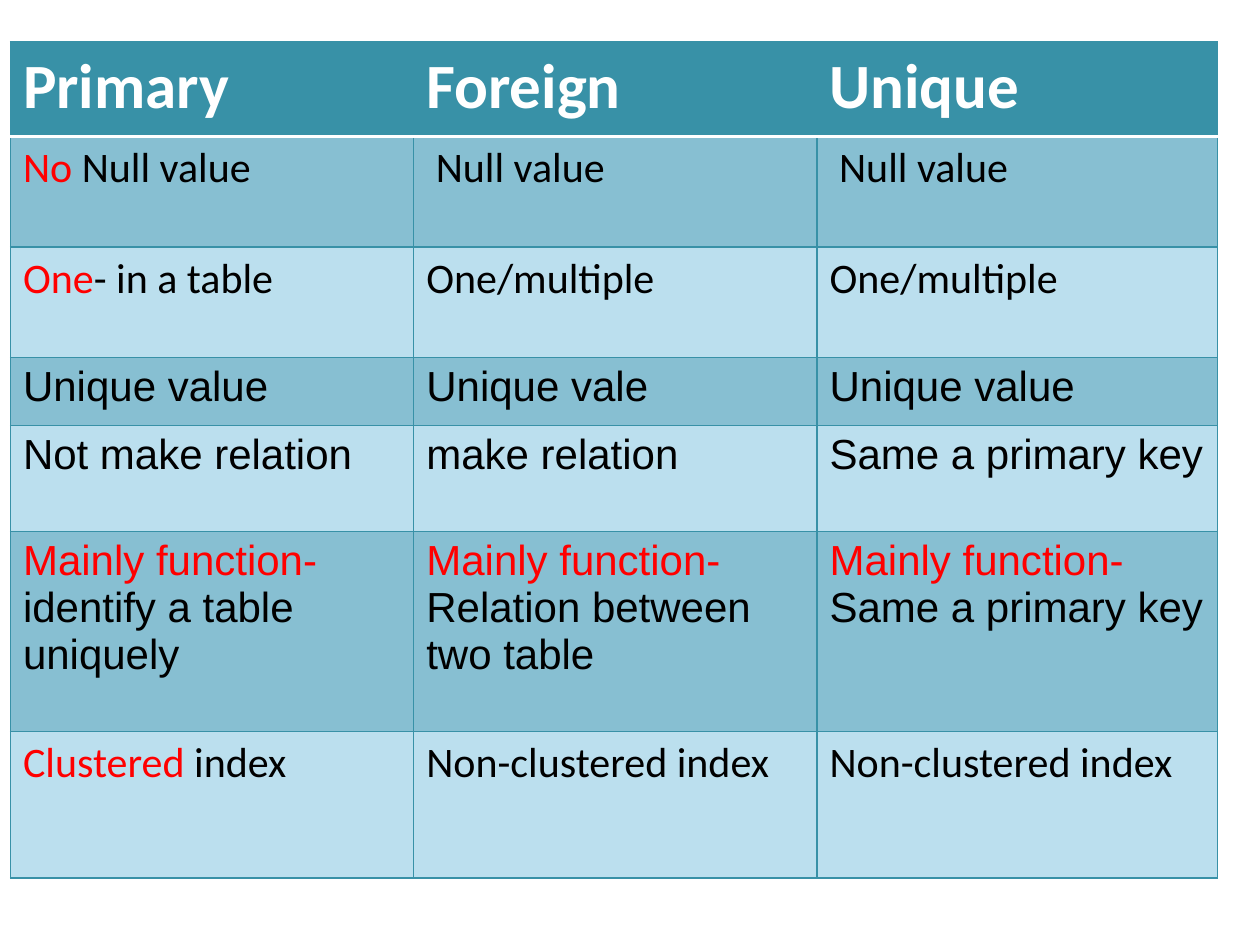
from lxml.etree import SubElement
from pptx import Presentation
from pptx.dml.color import RGBColor
from pptx.oxml.ns import qn
from pptx.util import Cm, Pt

TEAL = RGBColor(0x38, 0x91, 0xA7)
BAND = RGBColor(0x87, 0xBF, 0xD2)
LIGHT = RGBColor(0xBB, 0xDF, 0xEE)
WHITE = RGBColor(0xFF, 0xFF, 0xFF)
BLACK = RGBColor(0, 0, 0)
RED = RGBColor(0xFF, 0, 0)

COL_WIDTHS = [8.13, 8.13, 8.08]
HEADER = ["Primary", "Foreign", "Unique"]
HEADER_HEIGHT = 1.91
MAIN = "Mainly function-"
# Each cell is a (red lead, black rest) pair.
ROWS = [
    (2.23, "Calibri", [("No", " Null value"), ("", " Null value"), ("", " Null value")]),
    (2.23, "Calibri", [("One", "- in a table"), ("", "One/multiple"), ("", "One/multiple")]),
    (1.37, "Arial", [("", "Unique value"), ("", "Unique vale"), ("", "Unique value")]),
    (2.13, "Arial", [("", "Not make relation"), ("", "make relation"), ("", "Same a primary key")]),
    (4.04, "Arial", [(MAIN, "identify a table uniquely"), (MAIN, "Relation between two table"),
                     (MAIN, "Same a primary key")]),
    (2.95, "Calibri", [("Clustered", " index"), ("", "Non-clustered index"), ("", "Non-clustered index")]),
]


def add_text(p, text, font="Calibri", size=24, color=BLACK, bold=False):
    r = p.add_run()
    r.text = text
    r.font.name = font
    r.font.size = Pt(size)
    r.font.bold = bold
    r.font.color.rgb = color


def set_border(cell, side, color, width):
    ln = SubElement(cell._tc.get_or_add_tcPr(), qn(f"a:ln{side}"), w=str(Pt(width)))
    fill = SubElement(ln, qn("a:solidFill"))
    SubElement(fill, qn("a:srgbClr"), val=str(color))


def style_cell(cell, fill, borders):
    for side, (color, width) in borders.items():
        set_border(cell, side, color, width)
    cell.fill.solid()
    cell.fill.fore_color.rgb = fill


def main():
    prs = Presentation()
    prs.slide_width, prs.slide_height = Cm(25.4), Cm(19.05)
    s = prs.slides.add_slide(prs.slide_layouts[6])

    heights = [HEADER_HEIGHT] + [height for height, _, _ in ROWS]
    table = s.shapes.add_table(len(heights), len(COL_WIDTHS), Cm(0.21), Cm(0.84),
                               Cm(sum(COL_WIDTHS)), Cm(sum(heights))).table
    for column, width in zip(table.columns, COL_WIDTHS):
        column.width = Cm(width)
    for row, height in zip(table.rows, heights):
        row.height = Cm(height)

    thin, rule = (TEAL, 0.75), (WHITE, 2)
    for j, title in enumerate(HEADER):
        cell = table.cell(0, j)
        style_cell(cell, TEAL, {"L": thin, "R": thin, "T": thin, "B": rule})
        add_text(cell.text_frame.paragraphs[0], title, size=36, color=WHITE, bold=True)

    for i, (_, font, cells) in enumerate(ROWS, 1):
        top = rule if i == 1 else thin
        for j, (lead, rest) in enumerate(cells):
            cell = table.cell(i, j)
            style_cell(cell, BAND if i % 2 else LIGHT, {"L": thin, "R": thin, "T": top, "B": thin})
            p = cell.text_frame.paragraphs[0]
            if lead:
                add_text(p, lead, font=font, color=RED)
            add_text(p, rest, font=font)

    prs.save("out.pptx")


if __name__ == "__main__":
    main()
